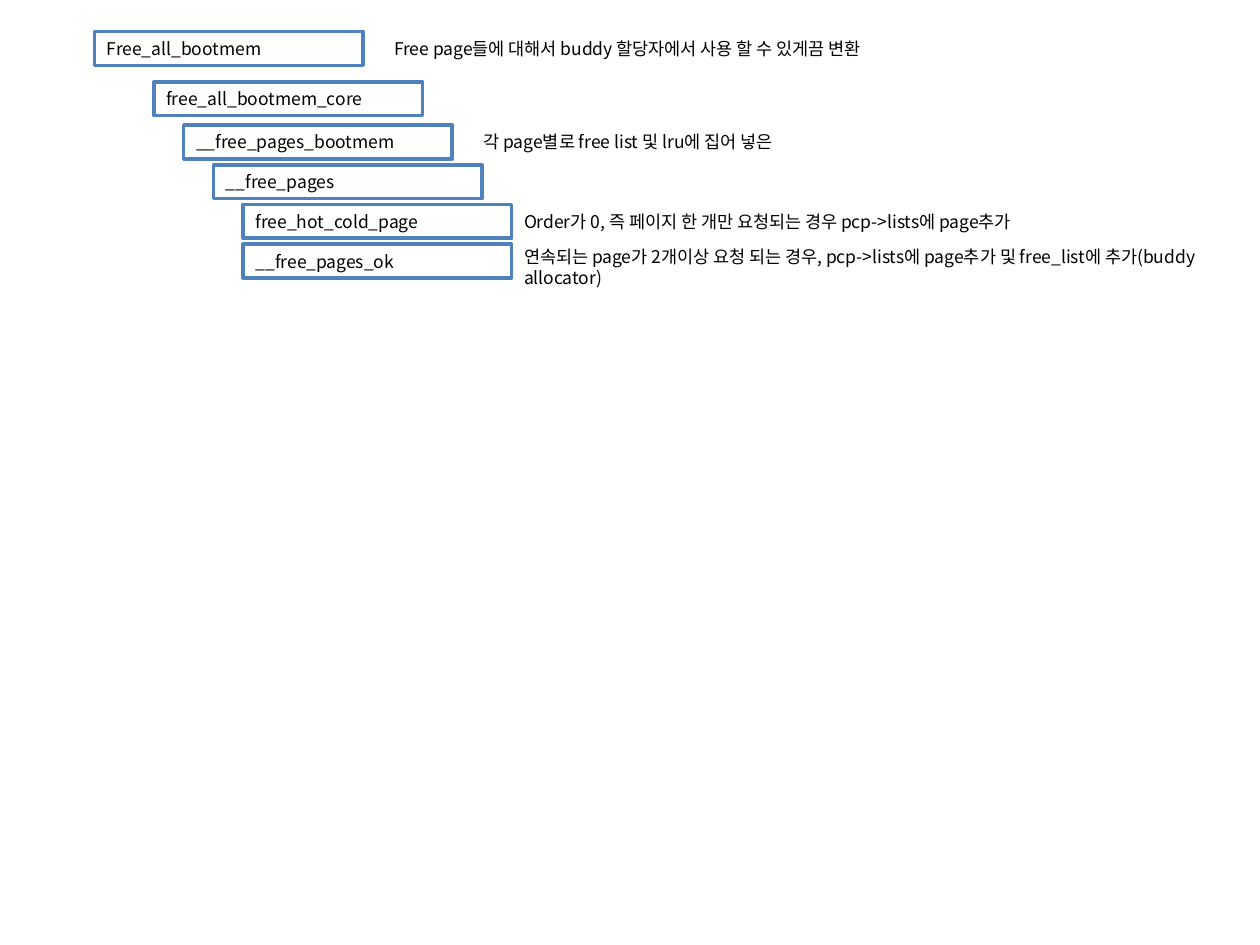
import dataclasses

import lxml.etree
import pptx
import pptx.dml.color
import pptx.enum.shapes
import pptx.enum.text
import pptx.oxml.ns
import pptx.util

Pt = pptx.util.Pt
Color = pptx.dml.color.RGBColor


@dataclasses.dataclass(frozen=True)
class Theme:
    font: str = "Noto Sans CJK KR"
    size: float = 10
    ink: Color = Color(0, 0, 0)
    fill: Color = Color(255, 255, 255)
    edge: Color = Color(0x4F, 0x81, 0xBD)
    line: float = 2


@dataclasses.dataclass(frozen=True)
class Box:
    left: float
    top: float
    width: float
    height: float

    def place(self):
        return Pt(self.left), Pt(self.top), Pt(self.width), Pt(self.height)


@dataclasses.dataclass(frozen=True)
class Note:
    text: str
    gap: float
    width: float
    shift: float = 0
    height: float = 19.4


THEME = Theme()
INDENT = 17
CALLS = [
    ("Free_all_bootmem", 0, 0,
     Note("Free page들에 대해서 buddy 할당자에서 사용 할 수 있게끔 변환", 10.8, 487.4)),
    ("free_all_bootmem_core", 2, 28.8, None),
    ("__free_pages_bootmem", 3, 53.4,
     Note("각 page별로 free list 및 lru에 집어 넣은", 10.8, 419.8)),
    ("__free_pages", 4, 76.2, None),
    ("free_hot_cold_page", 5, 98.8,
     Note("Order가 0, 즉 페이지 한 개만 요청되는 경우 pcp->lists에 page추가", 0, 419.8)),
    ("__free_pages_ok", 5, 121.5,
     Note("연속되는 page가 2개이상 요청 되는 경우, pcp->lists에 page추가 및 "
          "free_list에 추가(buddy allocator)", 0, 419.8, -2.2, 31.7)),
]


def write(shape, text, anchor):
    frame = shape.text_frame
    frame.word_wrap = True
    frame.vertical_anchor = anchor
    para = frame.paragraphs[0]
    para.alignment = pptx.enum.text.PP_ALIGN.LEFT
    run = para.add_run()
    run.text = text
    run.font.size = Pt(THEME.size)
    run.font.name = THEME.font
    run.font.color.rgb = THEME.ink
    props = run.font._element
    east = lxml.etree.SubElement(props, pptx.oxml.ns.qn("a:ea"))
    east.set("typeface", THEME.font)


def add_call(slide, box, name):
    kind = pptx.enum.shapes.MSO_SHAPE.RECTANGLE
    shape = slide.shapes.add_shape(kind, *box.place())
    shape.shadow.inherit = False
    shape.fill.solid()
    shape.fill.fore_color.rgb = THEME.fill
    shape.line.color.rgb = THEME.edge
    shape.line.width = Pt(THEME.line)
    write(shape, name, pptx.enum.text.MSO_ANCHOR.MIDDLE)


def add_note(slide, box, text):
    shape = slide.shapes.add_textbox(*box.place())
    write(shape, text, pptx.enum.text.MSO_ANCHOR.TOP)


def add_tree(slide, area):
    for name, level, drop, note in CALLS:
        box = Box(area.left + level * INDENT, area.top + drop,
                  area.width, area.height)
        add_call(slide, box, name)
        if note:
            spot = Box(box.left + box.width + note.gap, box.top + note.shift,
                       note.width, note.height)
            add_note(slide, spot, note.text)


def main():
    deck = pptx.Presentation()
    deck.slide_width = Pt(720)
    deck.slide_height = Pt(540)
    slide = deck.slides.add_slide(deck.slide_layouts[6])
    add_tree(slide, Box(54, 18, 153.4, 19.4))
    deck.save("out.pptx")


if __name__ == "__main__":
    main()
